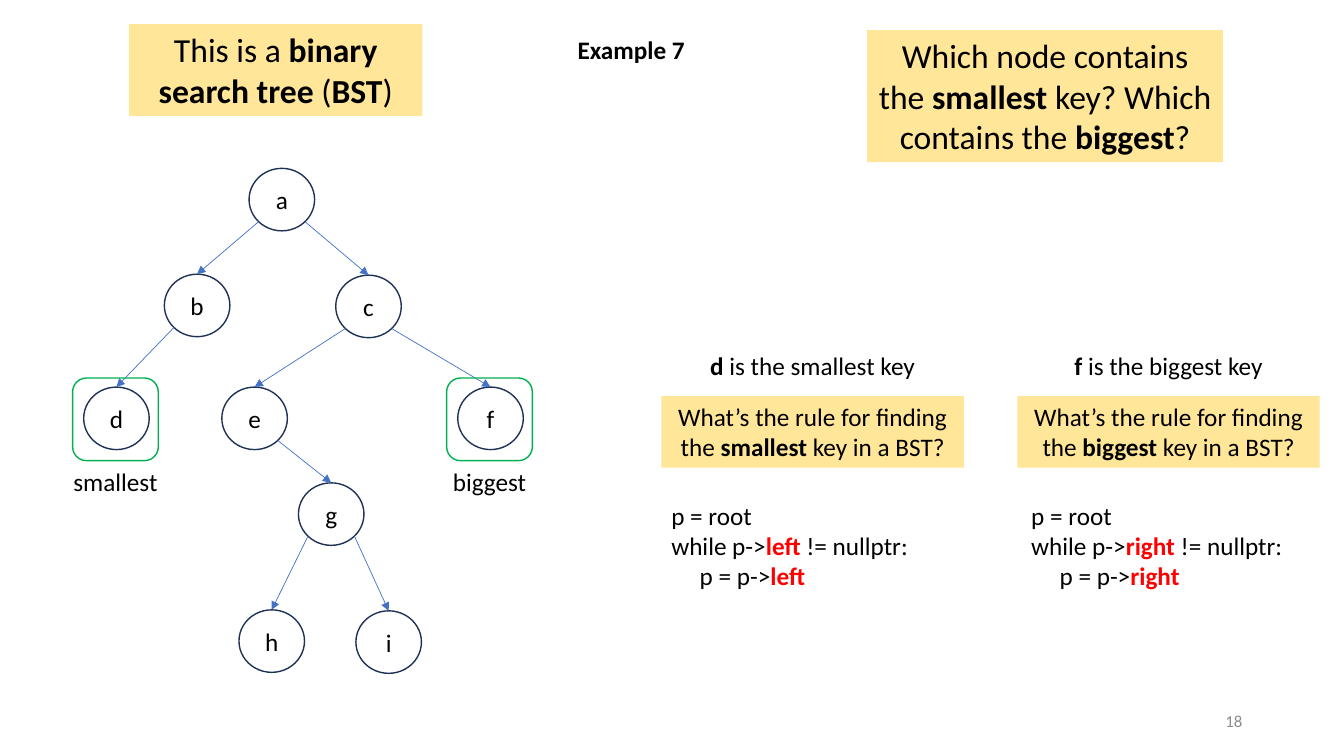
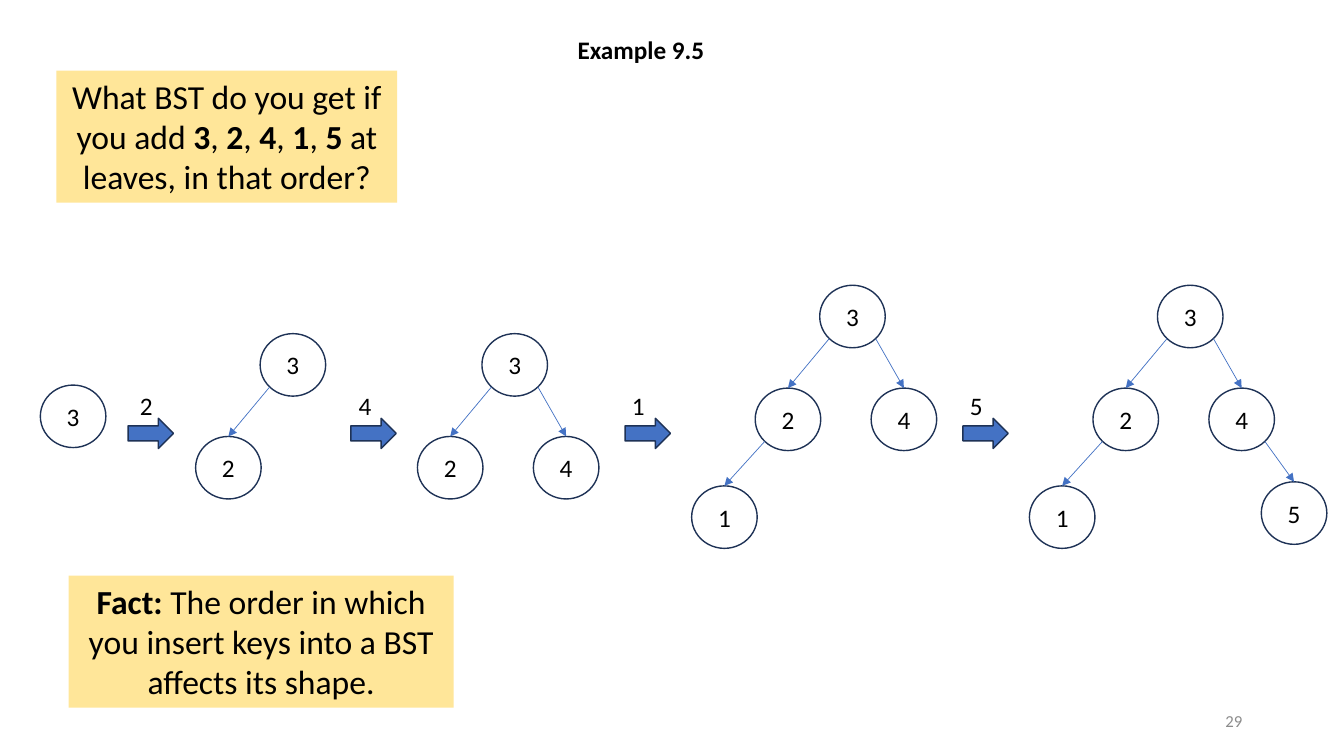
from collections import namedtuple

from lxml import etree
from pptx import Presentation
from pptx import util as u
from pptx.dml.color import RGBColor
from pptx.enum import shapes, text
from pptx.oxml.ns import qn

PX = 9144  # one hundred px to the inch
FONT = "Calibri"
BLACK = RGBColor(0x00, 0x00, 0x00)
GRAY = RGBColor(0x8C, 0x8C, 0x8C)
RED = RGBColor(0xFF, 0x00, 0x00)
GREEN = RGBColor(0x00, 0xB0, 0x50)
YELLOW = RGBColor(0xFF, 0xE6, 0x99)
BLUE = RGBColor(0x44, 0x72, 0xC4)
NAVY = RGBColor(0x1E, 0x32, 0x56)

NODE_W, NODE_H = 65, 62
DIAGONAL = 0.71  # cosine of 45 degrees
LEFT, CENTER, RIGHT = text.PP_ALIGN.LEFT, text.PP_ALIGN.CENTER, text.PP_ALIGN.RIGHT

Run = namedtuple("Run", "words bold color", defaults=(False, BLACK))


def bold(words, color=BLACK):
    return Run(words, True, color)


def px(*lengths):
    return [u.Emu(round(length * PX)) for length in lengths]


def write(frame, lines, size=18, align=LEFT, anchor=text.MSO_ANCHOR.TOP, wrap=True):
    """Fill a text frame; each line is a list of runs and becomes a paragraph."""
    frame.word_wrap = wrap
    frame.vertical_anchor = anchor
    for number, runs in enumerate(lines):
        paragraph = frame.add_paragraph() if number else frame.paragraphs[0]
        paragraph.alignment = align
        for words, is_bold, color in runs:
            run = paragraph.add_run()
            run.text = words
            run.font.name = FONT
            run.font.size = u.Pt(size)
            run.font.bold = is_bold
            run.font.color.rgb = color


def add_label(slide, box, lines, **style):
    write(slide.shapes.add_textbox(*px(*box)).text_frame, lines, **style)


def add_figure(slide, kind, box, fill=None, line=None):
    figure = slide.shapes.add_shape(kind, *px(*box))
    figure.shadow.inherit = False
    if fill is None:
        figure.fill.background()
    else:
        figure.fill.solid()
        figure.fill.fore_color.rgb = fill
    if line is None:
        figure.line.fill.background()
    else:
        figure.line.color.rgb = line
        figure.line.width = u.Pt(1)
    return figure


def add_callout(slide, box, runs, size=24):
    callout = add_figure(slide, shapes.MSO_SHAPE.RECTANGLE, box, fill=YELLOW)
    write(callout.text_frame, [runs], size, CENTER)


def add_node(slide, left, top, key):
    node = add_figure(slide, shapes.MSO_SHAPE.OVAL, (left, top, NODE_W, NODE_H), line=NAVY)
    frame = node.text_frame
    frame.margin_left = frame.margin_right = frame.margin_top = frame.margin_bottom = 0
    write(frame, [[Run(key)]], align=CENTER, anchor=text.MSO_ANCHOR.MIDDLE)
    return node


def add_edge(slide, parent, child):
    """Arrow from the parent's lower diagonal to the top of the child."""
    side = 1 if child.left > parent.left else -1
    start_x = parent.left + parent.width * (1 + side * DIAGONAL) / 2
    start_y = parent.top + parent.height * (1 + DIAGONAL) / 2
    edge = slide.shapes.add_connector(
        shapes.MSO_CONNECTOR.STRAIGHT, round(start_x), round(start_y), 0, 0)
    edge.end_connect(child, 0)
    edge.line.color.rgb = BLUE
    edge.line.width = u.Pt(0.5)
    etree.SubElement(edge.line._get_or_add_ln(), qn("a:tailEnd"), type="triangle")
    etree.SubElement(edge._element.spPr, qn("a:effectLst"))


def add_tree(slide, left, top, offsets, parents):
    """Draw keys at their offsets from the root, joined to their parents."""
    nodes = {key: add_node(slide, left + dx, top + dy, key)
             for key, (dx, dy) in offsets.items()}
    for key in nodes:
        if key in parents:
            add_edge(slide, nodes[parents[key]], nodes[key])


def add_marker(slide, left, top, caption):
    """Green frame around the node at left, top with a caption below."""
    left, top = left - 11, top - 9
    add_figure(slide, shapes.MSO_SHAPE.ROUNDED_RECTANGLE, (left, top, 85, 82), line=GREEN)
    add_label(slide, (left - 10, top + 83, 105, 40), [[Run(caption)]],
              align=CENTER, wrap=False)


def add_rule(slide, left, top, key, extreme, child, code_shift):
    """Answer, question and pseudocode for one extreme of the tree."""
    width = 300
    add_label(slide, (left, top, width, 40),
              [[bold(key), Run(f" is the {extreme} key")]], align=CENTER)
    add_callout(slide, (left, top + 50, width, 71),
                [Run("What’s the rule for finding the "), bold(extreme),
                 Run(" key in a BST?")], size=18)
    add_label(slide, (left + code_shift, top + 148, 270, 101), [
        [Run("p = root")],
        [Run("while p->"), bold(child, RED), Run(" != nullptr:")],
        [Run("     p = p->"), bold(child, RED)],
    ])


def add_insertion(slide, left, top, key, key_shift):
    """Block arrow with the inserted key above it."""
    add_figure(slide, shapes.MSO_SHAPE.RIGHT_ARROW, (left, top + 33, 45, 30), BLUE, NAVY)
    add_label(slide, (left + key_shift, top, 33, 40), [[Run(key)]], wrap=False)


def start_slide(deck, title, number):
    slide = deck.slides.add_slide(deck.slide_layouts[6])
    add_label(slide, (563, 29, 147, 40), [[bold(title)]])
    add_label(slide, (942, 695, 300, 40), [[Run(number, color=GRAY)]], size=12,
              align=RIGHT, anchor=text.MSO_ANCHOR.MIDDLE)
    return slide


def build_extremes(deck):
    slide = start_slide(deck, "Example 7", "18")
    add_callout(slide, (128, 24, 291, 91), [
        Run("This is a "), bold("binary search tree"), Run(" ("), bold("BST"), Run(")")])
    add_callout(slide, (860, 30, 353, 131), [
        Run("Which node contains the "), bold("smallest"),
        Run(" key? Which contains the "), bold("biggest"), Run("?")])

    left, top = 247, 167
    offsets = {"a": (0, 0), "b": (-84, 105), "c": (86, 106), "d": (-164, 217),
               "e": (-27, 217), "f": (207, 217), "g": (49, 312),
               "h": (-10, 438), "i": (106, 439)}
    parents = {"b": "a", "c": "a", "d": "b", "e": "c", "f": "c",
               "g": "e", "h": "g", "i": "g"}
    add_tree(slide, left, top, offsets, parents)
    for key, caption in (("d", "smallest"), ("f", "biggest")):
        dx, dy = offsets[key]
        add_marker(slide, left + dx, top + dy, caption)

    add_rule(slide, 656, 343, "d", "smallest", "left", 0)
    add_rule(slide, 1009, 343, "f", "biggest", "right", 4)


def build_insertions(deck):
    slide = start_slide(deck, "Example 9.5", "29")
    order = "32415"
    question = [Run("What BST do you get if you add ")]
    for key in sorted(order, key=order.index):
        question += [bold(key), Run(", ")]
    question[-1] = Run(" at leaves, in that order?")
    add_callout(slide, (56, 70, 338, 131), question)

    offsets = {"3": (0, 0), "2": (-64, 102), "4": (51, 102),
               "1": (-127, 199), "5": (103, 195)}
    parents = {"2": "3", "4": "3", "1": "2", "5": "4"}
    roots = ((40, 382), (258, 331), (478, 331), (813, 283), (1148, 283))
    for count, (left, top) in enumerate(roots, start=1):
        grown = {key: offsets[key] for key in order[:count]}
        add_tree(slide, left, top, grown, parents)

    arrows = ((127, 2), (348, -2), (620, -3), (955, -3))
    for key, (left, key_shift) in zip(order[1:], arrows):
        add_insertion(slide, left, 382, key, key_shift)

    add_callout(slide, (68, 571, 382, 131), [
        bold("Fact:"),
        Run(" The order in which you insert keys into a BST affects its shape.")])


def main():
    deck = Presentation()
    deck.slide_width, deck.slide_height = u.Inches(13.33), u.Inches(7.5)
    build_extremes(deck)
    build_insertions(deck)
    deck.save("out.pptx")


if __name__ == "__main__":
    main()
